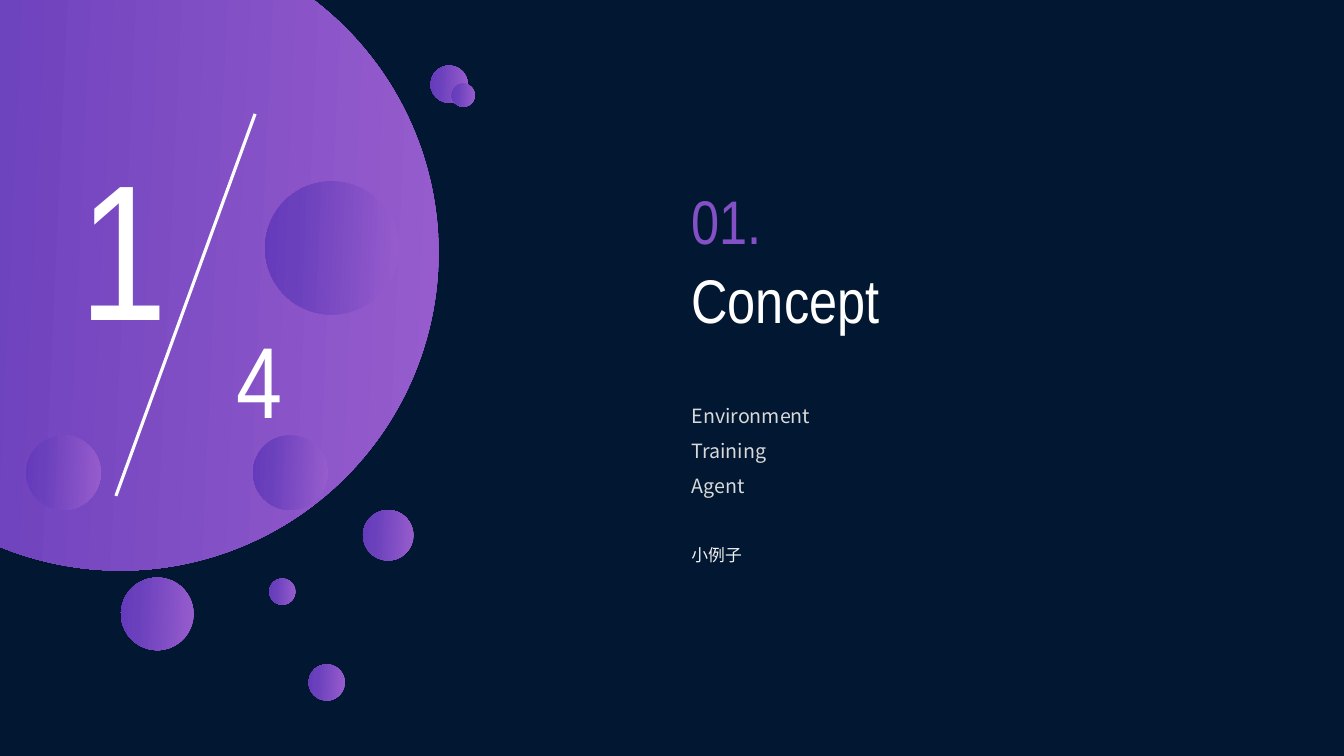
from copy import deepcopy

from lxml.etree import SubElement
from pptx import Presentation
from pptx.dml.color import RGBColor
from pptx.enum.shapes import MSO_CONNECTOR as Connector, MSO_SHAPE as Shape
from pptx.enum.text import MSO_AUTO_SIZE as AutoSize
from pptx.oxml.ns import qn
from pptx.util import Inches, Pt

HEADING_FONT = "Arial Narrow"
BODY_FONT = "Noto Sans CJK SC"
BUBBLE_STOPS = [(0.01, "A364D2"), (0.69, "6A40BC"), (1, "5D34BC")]


def color(value):
    return RGBColor.from_string(value)


def add_bubble(shapes, left, top, size):
    bubble = shapes.add_shape(
        Shape.OVAL, Inches(left), Inches(top), Inches(size), Inches(size))
    bubble.shadow.inherit = False
    bubble.rotation = 137.6
    bubble.line.fill.background()
    bubble.fill.gradient()
    bubble.fill.gradient_angle = 315
    # A new gradient has two stops; add the third
    stop_list = next(bubble._element.iter(qn("a:gsLst")))
    stop_list.append(deepcopy(stop_list[-1]))
    for stop, (position, value) in zip(bubble.fill.gradient_stops, BUBBLE_STOPS):
        stop.position = position
        stop.color.rgb = color(value)


def add_text(shapes, box, lines, size, font_name, value, spacing=None):
    text_box = shapes.add_textbox(*(Inches(length) for length in box))
    frame = text_box.text_frame
    frame.word_wrap = True
    frame.auto_size = AutoSize.SHAPE_TO_FIT_TEXT
    for index, line in enumerate(lines):
        paragraph = frame.add_paragraph() if index else frame.paragraphs[0]
        if spacing:
            paragraph.line_spacing = spacing
        run = paragraph.add_run()
        run.text = line
        run.font.size = Pt(size)
        run.font.name = font_name
        run.font.color.rgb = color(value)
        # East Asian typeface
        SubElement(run._r.get_or_add_rPr(), qn("a:ea"), typeface=font_name)


def add_section_counter(slide, left, top):
    """Large fraction: current section over the number of sections."""
    shapes = slide.shapes.add_group_shape().shapes
    add_text(shapes, (left, top + 0.08, 0.73, 2.42), ["1"], 138, HEADING_FONT, "FFFFFF")
    add_text(shapes, (left + 1.56, top + 1.97, 0.66, 1.31), ["4"], 72, HEADING_FONT, "FFFFFF")
    slash = shapes.add_connector(
        Connector.STRAIGHT, Inches(left + 1.84), Inches(top),
        Inches(left + 0.46), Inches(top + 3.79))
    slash.line.color.rgb = color("FFFFFF")
    slash.line.width = Pt(2.25)
    SubElement(slash._element.spPr, qn("a:effectLst"))


def add_section_text(slide, left, top):
    """Section number, title, topics and example note."""
    shapes = slide.shapes
    add_text(shapes, (left, top, 0.98, 0.84), ["01."], 44, HEADING_FONT, "8350C6")
    add_text(shapes, (left, top + 0.78, 2.51, 0.84), ["Concept"], 44, HEADING_FONT, "FFFFFF")
    add_text(shapes, (left, top + 2.07, 5.05, 1.16),
             ["Environment", "Training", "Agent"], 14, BODY_FONT, "D9D9D9", 1.5)
    add_text(shapes, (left, top + 3.49, 2.3, 0.37), ["小例子"], 12, BODY_FONT, "F2F2F2", 1.5)


def add_small_bubbles(slide):
    for left, top, size in [
        (2.63, 1.8, 1.32), (2.51, 4.32, 0.74), (0.26, 4.32, 0.74),
        (3.6, 5.06, 0.5), (1.2, 5.73, 0.72), (3.06, 6.59, 0.36),
        (2.67, 5.74, 0.26), (4.27, 0.65, 0.37), (4.48, 0.83, 0.23),
    ]:
        add_bubble(slide.shapes, left, top, size)


def main():
    presentation = Presentation()
    presentation.slide_width = Inches(13.33)
    presentation.slide_height = Inches(7.5)
    slide = presentation.slides.add_slide(presentation.slide_layouts[6])
    slide.background.fill.solid()
    slide.background.fill.fore_color.rgb = color("021732")

    # Main disc, then its counter, the text and the bubbles in front
    add_bubble(slide.shapes, -1.96, -0.65, 6.31)
    add_section_counter(slide, 0.69, 1.13)
    add_section_text(slide, 6.76, 1.77)
    add_small_bubbles(slide)
    presentation.save("out.pptx")


if __name__ == "__main__":
    main()
